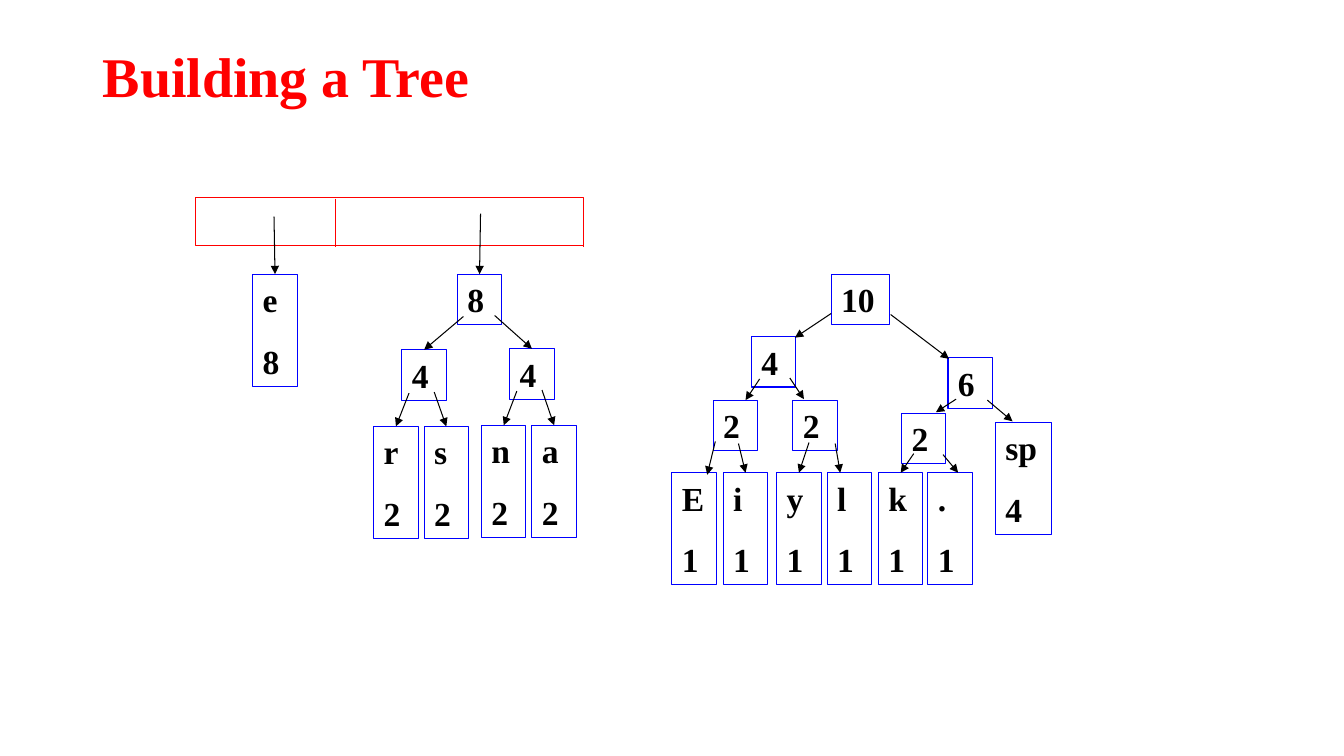
from pptx import Presentation
from pptx.dml.color import RGBColor
from pptx.enum.shapes import MSO_CONNECTOR, MSO_SHAPE
from pptx.enum.text import MSO_ANCHOR, MSO_AUTO_SIZE, PP_ALIGN
from pptx.oxml.ns import qn
from pptx.util import Inches, Pt
from lxml import etree

RECT = MSO_SHAPE.RECTANGLE
LINE = MSO_CONNECTOR.STRAIGHT
LEFT = PP_ALIGN.LEFT
TOP, MIDDLE = MSO_ANCHOR.TOP, MSO_ANCHOR.MIDDLE
NO_FIT = MSO_AUTO_SIZE.NONE

RED = RGBColor(0xFF, 0x00, 0x00)
BLUE = RGBColor(0x00, 0x00, 0xFF)
BLACK = RGBColor(0x00, 0x00, 0x00)
WHITE = RGBColor(0xFF, 0xFF, 0xFF)
FONT = "Times New Roman"

# Content: queue cells, then the trees
TITLE = "Building a Tree"
QUEUE = (1.94, 1.96, 3.85, 0.48)
EDGES = (3.33, 5.79)  # right edge of each queue cell

# Node: lines of text, left, top, arrow start, arrow end (None: middle of top)
NODES = [
    ("e 8", 2.51, 2.72, (2.72, 2.15), None),
    ("8", 4.54, 2.72, (4.77, 2.12), None),
    ("4", 3.99, 3.47, (4.6, 3.14), None),
    ("4", 5.06, 3.46, (4.91, 3.13), None),
    ("r 2", 3.71, 4.23, (4.06, 3.9), None),
    ("s 2", 4.21, 4.23, (4.31, 3.89), None),
    ("n 2", 4.78, 4.22, (5.13, 3.88), None),
    ("a 2", 5.28, 4.22, (5.38, 3.87), None),
    ("10", 8.25, 2.72, None, None),
    ("4", 7.46, 3.34, (8.25, 3.11), (7.89, 3.35)),
    ("6", 9.41, 3.55, (8.84, 3.12), (9.42, 3.56)),
    ("2", 7.08, 3.97, (7.54, 3.76), (7.4, 3.97)),
    ("2", 7.87, 3.97, (7.84, 3.75), (7.98, 3.96)),
    ("2", 8.95, 4.1, (9.49, 3.96), (9.29, 4.09)),
    ("sp 4", 9.88, 4.19, (9.8, 3.97), (10.05, 4.18)),
    ("E 1", 6.67, 4.69, (7.1, 4.38), (7.02, 4.71)),
    ("i 1", 7.18, 4.69, (7.33, 4.4), None),
    ("y 1", 7.71, 4.69, (8.03, 4.39), None),
    ("l 1", 8.21, 4.69, (8.29, 4.4), (8.34, 4.69)),
    ("k 1", 8.72, 4.69, (9.07, 4.5), None),
    (".  1", 9.21, 4.69, (9.36, 4.51), (9.51, 4.69)),
]
WIDTH, WIDE = 0.44, {"10": 0.58, "sp": 0.56}
HEIGHT, TALL = 0.5, 1.11  # one line, two lines


def style(par, size, color):
    par.alignment = LEFT
    font = par.font
    font.name, font.size, font.bold = FONT, Pt(size), True
    font.color.rgb = color


def add_box(area, color):
    box = slide.shapes.add_shape(RECT, *map(Inches, area))
    box.shadow.inherit = False
    box.line.color.rgb = color
    box.line.width = Pt(0.75)
    return box


def add_line(start, end, color):
    line = slide.shapes.add_connector(LINE, *map(Inches, (*start, *end)))
    line.line.color.rgb = color
    line.line.width = Pt(0.75)
    etree.SubElement(line._element.spPr, qn("a:effectLst"))
    return line


def add_node(text, left, top):
    lines = text.split()
    width = WIDE.get(lines[0], WIDTH)
    height = TALL if len(lines) > 1 else HEIGHT
    box = add_box((left, top, width, height), BLUE)
    box.fill.background()
    frame = box.text_frame
    frame.word_wrap = True
    frame.vertical_anchor = TOP
    frame.text = "\n".join(lines)
    for i, par in enumerate(frame.paragraphs):
        style(par, 24, BLACK)
        if i:
            par.space_before = Pt(15)
    return box


def add_arrow(start, end, box):
    line = add_line(start, end or start, BLACK)
    if not end:
        line.end_connect(box, 0)
    etree.SubElement(line.line._get_or_add_ln(), qn("a:tailEnd"), type="triangle")


deck = Presentation()
deck.slide_width, deck.slide_height = Inches(13.34), Inches(7.5)
slide = deck.slides.add_slide(deck.slide_layouts[5])

# Title
title = slide.shapes.title
title.left, title.top, title.width, title.height = map(Inches, (0.92, 0.4, 11.5, 0.77))
title.text_frame.text = TITLE
title.text_frame.auto_size = NO_FIT
title.text_frame.vertical_anchor = MIDDLE
head = title.text_frame.paragraphs[0]
head.line_spacing = 0.9
style(head, 40, RED)

# Queue
queue = add_box(QUEUE, RED)
queue.fill.solid()
queue.fill.fore_color.rgb = WHITE
for x in EDGES:
    add_line((x, 1.97), (x, 2.45), RED)

# Trees, each node with the arrow that leads to it
for text, left, top, start, end in NODES:
    node = add_node(text, left, top)
    if start:
        add_arrow(start, end, node)

deck.save("out.pptx")
